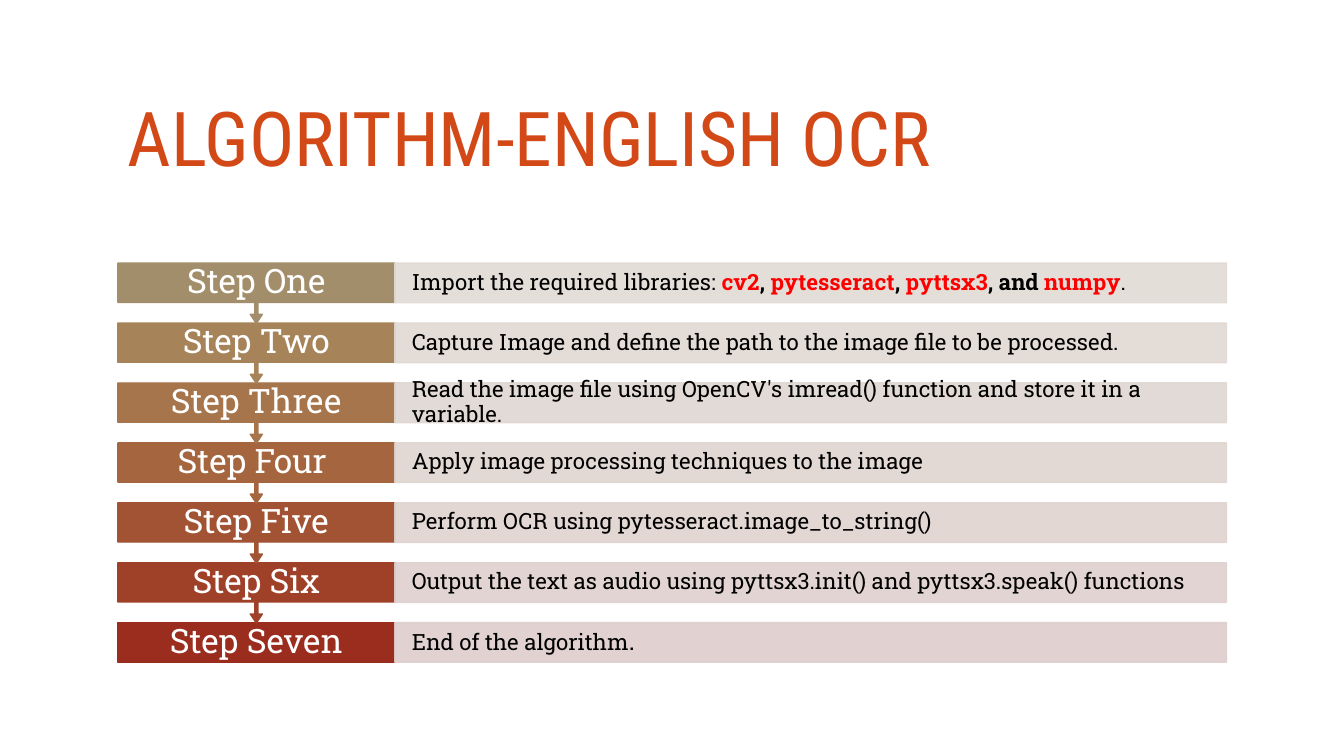
from lxml import etree
from pptx import Presentation
from pptx.dml.color import RGBColor
from pptx.enum.shapes import MSO_SHAPE
from pptx.enum.text import MSO_ANCHOR, PP_ALIGN
from pptx.oxml.ns import qn
from pptx.util import Cm, Pt

RECTANGLE = MSO_SHAPE.RECTANGLE
ARROW_CALLOUT = MSO_SHAPE.UP_ARROW_CALLOUT
MIDDLE = MSO_ANCHOR.MIDDLE
LEFT, CENTER = PP_ALIGN.LEFT, PP_ALIGN.CENTER

BLACK, WHITE, RED, ORANGE = "000000", "FFFFFF", "FF0000", "D34817"
CHART_LEFT, CHART_TOP = 2.97, 6.63
LABEL_WIDTH, DETAIL_WIDTH = 6.98, 20.96
BAR_HEIGHT, CALLOUT_HEIGHT, STEP_PITCH = 1, 1.52, 1.51
DETAIL_LEFT = CHART_LEFT + LABEL_WIDTH

STEPS = [
    ("Step One", "A28E6A", "E0DBD4", [
        ("Import the required libraries: ", {}),
        ("cv2", {"color": RED, "bold": True}),
        (", ", {"bold": True}),
        ("pytesseract", {"color": RED, "bold": True}),
        (", ", {"bold": True}),
        ("pyttsx3", {"color": RED, "bold": True}),
        (", and ", {"bold": True}),
        ("numpy", {"color": RED, "bold": True}),
        (".", {}),
    ]),
    ("Step Two", "A68359", "E0D9D3", [
        ("Capture Image and define the path to the image file to be processed.", {})]),
    ("Step Three", "A6754B", "DFD7D2", [
        ("Read the image file using OpenCV's imread() function and store it in a variable.", {})]),
    ("Step Four ", "A4653F", "DFD5D1", [
        ("Apply image processing techniques to the image", {})]),
    ("Step Five", "A25333", "DFD3CF", [
        ("Perform OCR using pytesseract.image_to_string()", {})]),
    ("Step Six", "9F4029", "DED0CE", [
        ("Output the text as audio using pyttsx3.init() and pyttsx3.speak() functions", {})]),
    ("Step Seven", "9B2D1F", "DECDCD", [
        ("End of the algorithm", {}), (".", {"size": 18})]),
]


def rgb(value):
    return RGBColor.from_string(value)


class SlideBuilder:
    heading_font = "Roboto Condensed"
    body_font = "Roboto Slab"

    def __init__(self, presentation):
        self.slide = presentation.slides.add_slide(presentation.slide_layouts[6])

    def shape(self, kind, left, top, width, height, color, opacity=100):
        shape = self.slide.shapes.add_shape(
            kind, Cm(left), Cm(top), Cm(width), Cm(height))
        shape.shadow.inherit = False
        shape.fill.solid()
        shape.fill.fore_color.rgb = rgb(color)
        shape.line.color.rgb = rgb(color)
        shape.line.width = Pt(1)
        if opacity < 100:
            for element in shape.element.spPr.iter(qn("a:srgbClr")):
                etree.SubElement(element, qn("a:alpha"), val=str(opacity * 1000))
        return shape

    def text(self, left, top, width, height, runs, size, color, font=None,
             align=LEFT, inset=0.25):
        box = self.slide.shapes.add_textbox(Cm(left), Cm(top), Cm(width), Cm(height))
        frame = box.text_frame
        frame.word_wrap = True
        frame.vertical_anchor = MIDDLE
        frame.margin_left = frame.margin_right = Cm(inset)
        frame.margin_top = frame.margin_bottom = 0
        paragraph = frame.paragraphs[0]
        paragraph.alignment = align
        paragraph.line_spacing = 0.9
        for words, style in runs:
            run = paragraph.add_run()
            run.text = words
            run.font.name = font or self.body_font
            run.font.size = Pt(style.get("size", size))
            run.font.bold = style.get("bold", False)
            run.font.color.rgb = rgb(style.get("color", color))

    def callout(self, left, top, width, height, color):
        shape = self.shape(ARROW_CALLOUT, left, top, width, height, color)
        shape.rotation = 180
        for index, value in enumerate((0.05, 0.1, 0.15, 0.65)):
            shape.adjustments[index] = value

    def step(self, top, label, color, tint, details, is_last):
        if is_last:
            self.shape(RECTANGLE, CHART_LEFT, top, LABEL_WIDTH, BAR_HEIGHT, color)
        else:
            self.callout(CHART_LEFT, top, LABEL_WIDTH, CALLOUT_HEIGHT, color)
        self.text(CHART_LEFT, top, LABEL_WIDTH, BAR_HEIGHT, [(label, {})], 24, WHITE,
                  align=CENTER, inset=0.5)
        self.shape(RECTANGLE, DETAIL_LEFT, top, DETAIL_WIDTH, BAR_HEIGHT, tint, 90)
        self.text(DETAIL_LEFT, top, DETAIL_WIDTH, BAR_HEIGHT, details, 16, BLACK,
                  inset=0.43)


def main():
    presentation = Presentation()
    presentation.slide_width = Cm(33.87)
    presentation.slide_height = Cm(19.05)
    builder = SlideBuilder(presentation)
    builder.text(CHART_LEFT, 1.35, 27.94, 4.47, [("ALGORITHM-ENGLISH OCR", {})], 54,
                 ORANGE, font=builder.heading_font)
    last = len(STEPS) - 1
    for index, step in reversed(list(enumerate(STEPS))):
        builder.step(CHART_TOP + index * STEP_PITCH, *step, index == last)
    presentation.save("out.pptx")


if __name__ == "__main__":
    main()
